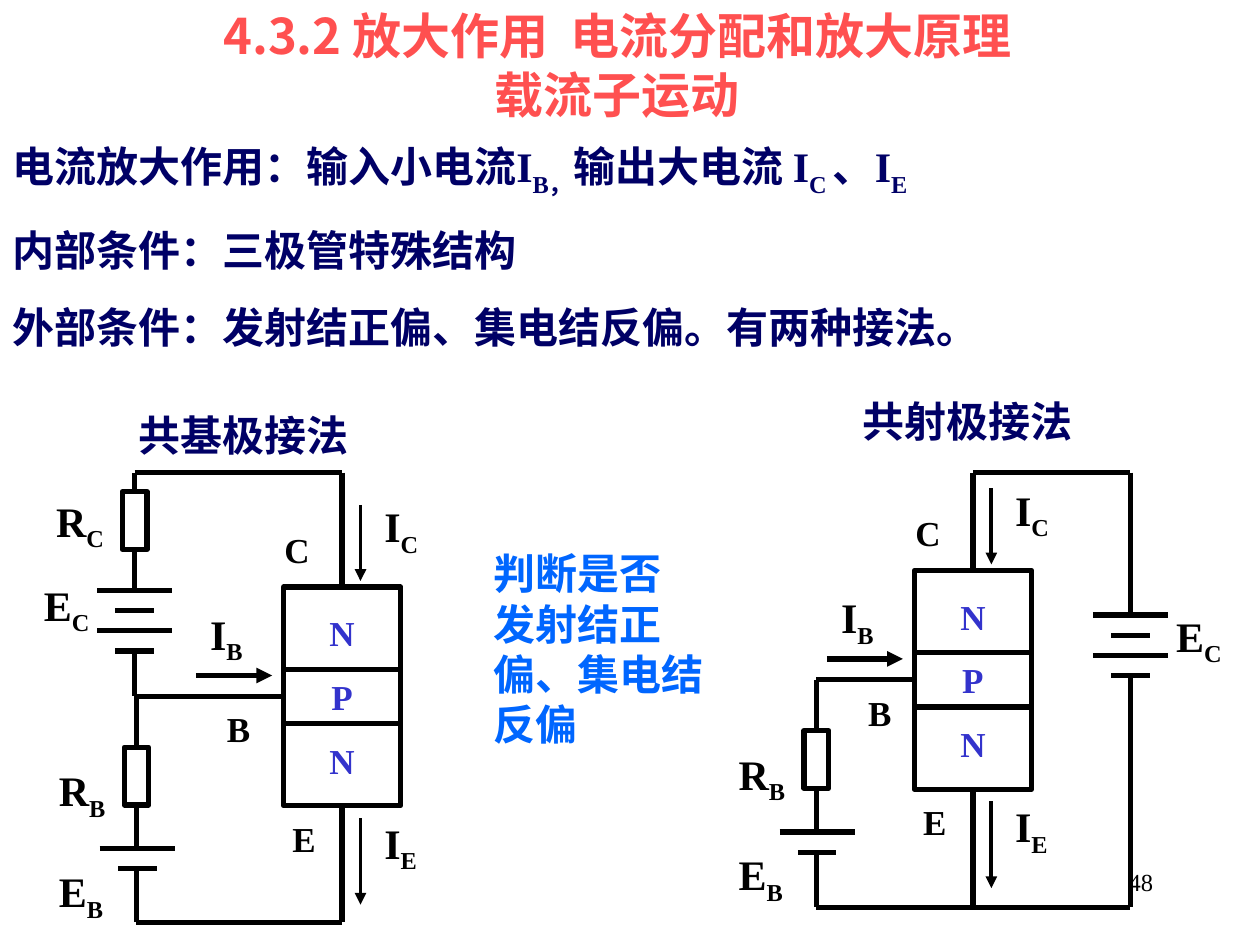
from lxml.etree import SubElement
from pptx import Presentation
from pptx.dml.color import RGBColor
from pptx.enum.shapes import MSO_CONNECTOR as Connector, MSO_SHAPE as Shape
from pptx.enum.text import MSO_ANCHOR as Anchor, PP_ALIGN as Align
from pptx.oxml.ns import qn
from pptx.util import Pt

COLORS = {"title": "FF5050", "navy": "000066", "ink": "000000",
          "layer": "3333CC", "question": "0066FF"}
SERIF, CJK = "Times New Roman", "Noto Sans CJK SC"

# In all texts, pieces between bars alternate: normal | subscript | normal ...
TITLE = "4.3.2 放大作用  电流分配和放大原理\v载流子运动"
CONDITIONS = [
    "电流放大作用：输入小电流I|B，|输出大电流 I|C |、I|E",
    "内部条件：三极管特殊结构",
    "外部条件：发射结正偏、集电结反偏。有两种接法。",
]
QUESTION = "判断是否\v发射结正\v偏、集电结\v反偏"
HEADINGS = [("共基极接法", 72, 230.5), ("共射极接法", 486, 222.5)]

# Transistor: layers from top to bottom, all offsets from its top left corner
LAYERS = [("N", 47), ("P", 31), ("N", 47)]
BLOCK_WIDTH, BLOCK_HEIGHT = 67, 125
CURRENTS = [  # start, end, line width, label, label box
    ((44, -47), (44, -3.5), 2.25, "I|C", (50.5, -53, 51, 40)),
    ((44, 132), (44, 181.5), 2.25, "I|E", (50.5, 128, 45, 40)),
    ((-50, 50.5), (-6.5, 50.5), 3, "I|B", (-49, 8.5, 48, 40)),
]

TOP_RAIL = 270
CIRCUITS = [
    {"block": (162, 335.5), "bias_x": 78, "bottom": 527, "base_label_x": -39.5},
    {"block": (522.5, 326), "bias_x": 466.5, "bottom": 518.5, "base_label_x": -33.5},
]
RESISTOR_WIDTH, RESISTOR_HEIGHT = 14, 33
PLATE_GAP = 11.5

presentation = Presentation()
presentation.slide_width, presentation.slide_height = Pt(720), Pt(540)
slide = presentation.slides.add_slide(presentation.slide_layouts[6])


def add_text(paragraphs, box, size, color, align=Align.LEFT, bold=True, font=SERIF,
             anchor=Anchor.TOP, wrap=True, exact=True, gap=15):
    """Write paragraphs with subscripts; gap is the space between them."""
    frame = slide.shapes.add_textbox(*map(Pt, box)).text_frame
    frame.word_wrap, frame.vertical_anchor = wrap, anchor
    for index, text in enumerate(paragraphs):
        paragraph = frame.add_paragraph() if index else frame.paragraphs[0]
        paragraph.alignment = align
        if exact:
            paragraph.line_spacing = Pt(size * 1.2)
        if index:
            paragraph.space_before = Pt(gap)
        first, *others = text.split("|")
        paragraph.text = first
        for piece in others:
            paragraph.add_run().text = piece
        subscripts = [False] * (len(paragraph.runs) - len(others))
        subscripts += [number % 2 == 0 for number in range(len(others))]
        for run, subscript in zip(paragraph.runs, subscripts):
            run.font.name, run.font.size, run.font.bold = font, Pt(size), bold
            run.font.color.rgb = RGBColor.from_string(COLORS[color])
            properties = run._r.get_or_add_rPr()
            SubElement(properties, qn("a:ea")).set("typeface", CJK)
            if subscript:
                properties.set("baseline", "-25000")


def add_label(text, box, size=24, color="ink", align=Align.CENTER):
    add_text([text], box, size, color, align, anchor=Anchor.MIDDLE,
             wrap=align == Align.LEFT, exact=False)


def add_symbol(text, left, top):
    """Label a resistor or a source, with room for its subscript."""
    add_label(text, (left, top, 60, 40), align=Align.LEFT)


def add_wire(start, end, width=3, arrow=False):
    wire = slide.shapes.add_connector(Connector.STRAIGHT, *map(Pt, (*start, *end)))
    wire.line.width = Pt(width)
    wire.line.color.rgb = RGBColor.from_string(COLORS["ink"])
    if arrow:
        SubElement(wire.line._get_or_add_ln(), qn("a:tailEnd")).set("type", "triangle")
    SubElement(wire._element.spPr, qn("a:effectLst"))


def add_outline(left, top, width, height):
    box = slide.shapes.add_shape(Shape.RECTANGLE, *map(Pt, (left, top, width, height)))
    box.shadow.inherit = False
    box.fill.background()
    box.line.width = Pt(3)
    box.line.color.rgb = RGBColor.from_string(COLORS["ink"])


def add_resistor(x, top):
    add_outline(x - RESISTOR_WIDTH / 2, top, RESISTOR_WIDTH, RESISTOR_HEIGHT)
    return top + RESISTOR_HEIGHT


def add_battery(x, top, plates):
    """Stack long and short plates and return the height of the last one."""
    for index in range(plates):
        half = 11 if index % 2 else 21.5
        y = top + index * PLATE_GAP
        add_wire((x - half, y), (x + half, y))
    return y


def add_transistor(left, top, base_label_x):
    layer_top, middle = top, top + BLOCK_HEIGHT / 2
    for index, (name, height) in enumerate(LAYERS):
        add_outline(left, layer_top, BLOCK_WIDTH, height)
        layer_top += height
        label_top = middle + (index - 1) * 36.5 - 16
        add_label(name, (left + 18.5, label_top, 30, 32), 20, "layer")
    for start, end, width, name, (x, y, *extent) in CURRENTS:
        add_wire((left + start[0], top + start[1]), (left + end[0], top + end[1]),
                 width, arrow=True)
        add_label(name, (left + x, top + y, *extent), align=Align.LEFT)
    for name, x, y in [("C", -6.5, -37.5), ("B", base_label_x, 65), ("E", -2, 127.5)]:
        add_label(name, (left + x, top + y, 30, 32), 20, align=Align.LEFT)


def add_base_circuit(block, bias_x, bottom, base_label_x):
    """Draw the transistor, its leads and the branch with RB and EB."""
    left, top = block
    center, base_y = left + BLOCK_WIDTH / 2, top + BLOCK_HEIGHT / 2
    add_transistor(left, top, base_label_x)
    add_wire((center, TOP_RAIL), (center, top))
    add_wire((center, top + BLOCK_HEIGHT), (center, bottom))
    add_wire((left, base_y), (bias_x, base_y))
    resistor_top = base_y + 29
    add_wire((bias_x, base_y), (bias_x, resistor_top))
    resistor_end = add_resistor(bias_x, resistor_top)
    battery_top = resistor_top + 58
    add_wire((bias_x, resistor_end), (bias_x, battery_top))
    battery_end = add_battery(bias_x + 0.5, battery_top, 2)
    add_wire((bias_x, battery_end), (bias_x, bottom))
    add_wire((bias_x, bottom), (center, bottom))
    add_symbol("R|B", bias_x - 51.5, resistor_top + 6.5)
    add_symbol("E|B", bias_x - 51.5, resistor_top + 64)
    return center, base_y


add_text(["48"], (516, 492, 150, 36), 14, "ink", Align.RIGHT, bold=False, exact=False)
add_text([TITLE], (0, -8, 705.5, 90), 28, "title", Align.CENTER, font=CJK,
         anchor=Anchor.MIDDLE)
add_text(CONDITIONS, (0, 81, 720, 127.5), 24, "navy")
for heading, left, top in HEADINGS:
    add_text([heading], (left, top, 150, 36), 24, "navy")
add_text([QUESTION], (275, 309.5, 153.5, 122.5), 24, "question")

common_base, common_emitter = CIRCUITS

# Common base: RC and EC stand above the base junction
center, base_y = add_base_circuit(**common_base)
supply_x = common_base["bias_x"] - 1
add_wire((supply_x, TOP_RAIL), (center, TOP_RAIL))
add_wire((supply_x, TOP_RAIL), (supply_x, 281))
resistor_end = add_resistor(supply_x, 281)
add_wire((supply_x, resistor_end), (supply_x, 337.5))
battery_end = add_battery(supply_x, 337.5, 4)
add_wire((supply_x, battery_end), (supply_x, base_y))
add_symbol("R|C", 25, 279.5)
add_symbol("E|C", 18, 327.5)

# Common emitter: EC joins the collector to the bottom rail
center, base_y = add_base_circuit(**common_emitter)
supply_x, bottom = 646, common_emitter["bottom"]
add_wire((center, TOP_RAIL), (supply_x, TOP_RAIL))
add_wire((supply_x, TOP_RAIL), (supply_x, 351.5))
battery_end = add_battery(supply_x, 351.5, 4)
add_wire((supply_x, battery_end), (supply_x, bottom))
add_wire((center, bottom), (supply_x, bottom))
add_symbol("E|C", 665, 345)

presentation.save("out.pptx")
